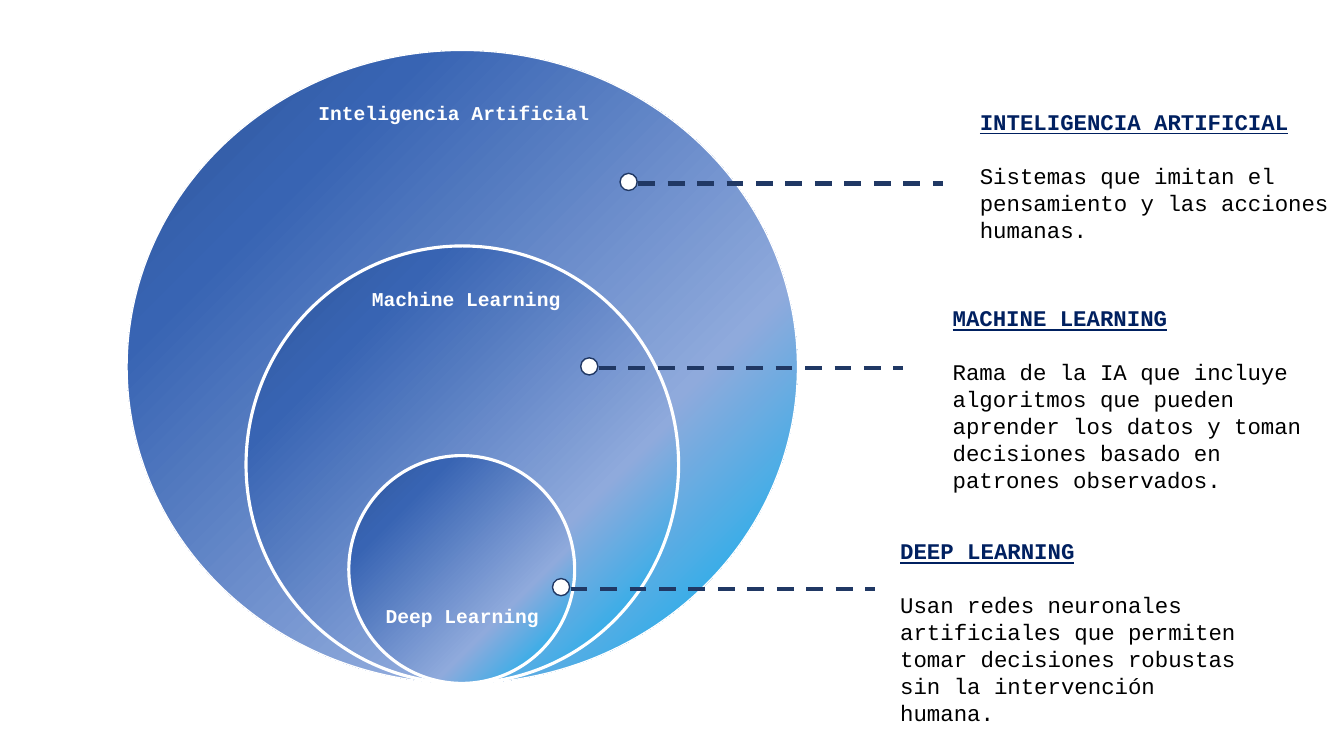
import copy
import pptx
import pptx.util
import pptx.dml.color
import pptx.enum.dml
import pptx.enum.shapes
import pptx.enum.text
import pptx.oxml

Inches = pptx.util.Inches
Pt = pptx.util.Pt
ALIGN = pptx.enum.text.PP_ALIGN

COLORS = {"white": "FFFFFF", "navy": "203864", "heading": "002060", "body": "000000"}
GRADIENT = [(0, "2F5597"), (0.23, "3864B3"), (0.69, "8FAADC"), (0.97, "00B0F0")]
FONT = "Courier New"
DOT = 0.17
LEADER = 3.02

CIRCLES = [
    ((1.26, 0.5, 6.65, 6.28), 1),
    ((2.44, 2.44, 4.29, 4.34), 2.25),
    ((3.46, 4.52, 2.24, 2.26), 2.25),
]
LABELS = [
    ("Inteligencia Artificial", (3.06, 0.95, 3.05, 0.54), ALIGN.LEFT),
    ("Machine Learning", (3.4, 2.8, 2.45, 0.34), ALIGN.CENTER),
    ("Deep Learning", (3.36, 5.94, 2.45, 0.34), ALIGN.CENTER),
]
NOTES = [
    ("INTELIGENCIA ARTIFICIAL",
     "Sistemas que imitan el pensamiento y las acciones humanas.",
     (6.15, 1.72), (9.62, 1.02, 3.71, 1.45)),
    ("MACHINE LEARNING",
     "Rama de la IA que incluye algoritmos que pueden aprender los datos y toman "
     "decisiones basado en patrones observados.",
     (5.76, 3.55), (9.35, 2.97, 3.71, 1.99)),
    ("DEEP LEARNING",
     "Usan redes neuronales artificiales que permiten tomar decisiones robustas "
     "sin la intervención humana.",
     (5.48, 5.74), (8.83, 5.28, 3.71, 1.99)),
]


def rgb(value):
    return pptx.dml.color.RGBColor.from_string(value)


def apply_gradient(fill):
    fill.gradient()
    fill.gradient_angle = 315
    stop_list = fill.gradient_stops[0]._gs.getparent()
    for _ in range(len(GRADIENT) - len(stop_list)):
        stop_list.append(copy.deepcopy(stop_list[0]))
    for stop, (position, value) in zip(fill.gradient_stops, GRADIENT):
        stop.color.rgb = rgb(value)
        stop.position = position


def add_ellipse(page, box, line_color, line_width):
    ellipse = page.shapes.add_shape(
        pptx.enum.shapes.MSO_SHAPE.OVAL, *map(Inches, box))
    ellipse.shadow.inherit = False
    ellipse.line.color.rgb = rgb(line_color)
    ellipse.line.width = Pt(line_width)
    return ellipse


def add_text(page, box, lines, align=ALIGN.LEFT):
    frame = page.shapes.add_textbox(*map(Inches, box)).text_frame
    frame.word_wrap = True
    frame.text = "\n".join(text for text, *_ in lines)
    for para, (_, size, color, bold, underline) in zip(frame.paragraphs, lines):
        para.alignment = align
        for span in para.runs:
            span.font.name = FONT
            span.font.size = Pt(size)
            span.font.color.rgb = rgb(color)
            span.font.bold = bold
            span.font.underline = underline
    return frame


def add_circles(page):
    for box, line_width in CIRCLES:
        circle = add_ellipse(page, box, COLORS["white"], line_width)
        apply_gradient(circle.fill)
    for text, box, align in LABELS:
        add_text(page, box, [(text, 14, COLORS["white"], True, False)], align)


def add_leader(page, left, top):
    start = left + DOT + 0.01
    middle = top + 0.1
    leader = page.shapes.add_connector(
        pptx.enum.shapes.MSO_CONNECTOR.STRAIGHT,
        *map(Inches, (start, middle, start + LEADER, middle)))
    leader.line.color.rgb = rgb(COLORS["navy"])
    leader.line.width = Pt(3)
    leader.line.dash_style = pptx.enum.dml.MSO_LINE.DASH
    properties = leader._element.spPr
    properties.append(properties.makeelement(pptx.oxml.ns.qn("a:effectLst"), {}))
    dot = add_ellipse(page, (left, top, DOT, DOT), COLORS["navy"], 1)
    dot.fill.solid()
    dot.fill.fore_color.rgb = rgb(COLORS["white"])


def add_note(page, heading, body, dot, box):
    add_leader(page, *dot)
    frame = add_text(page, box, [
        (heading, 16, COLORS["heading"], True, True),
        (body, 16, COLORS["body"], False, False),
    ])
    frame.paragraphs[1].space_before = Pt(19.5)


def main():
    deck = pptx.Presentation()
    deck.slide_width = Inches(13.33)
    deck.slide_height = Inches(7.5)
    page = deck.slides.add_slide(deck.slide_layouts[6])
    add_circles(page)
    for note in NOTES:
        add_note(page, *note)
    deck.save("out.pptx")


if __name__ == "__main__":
    main()
